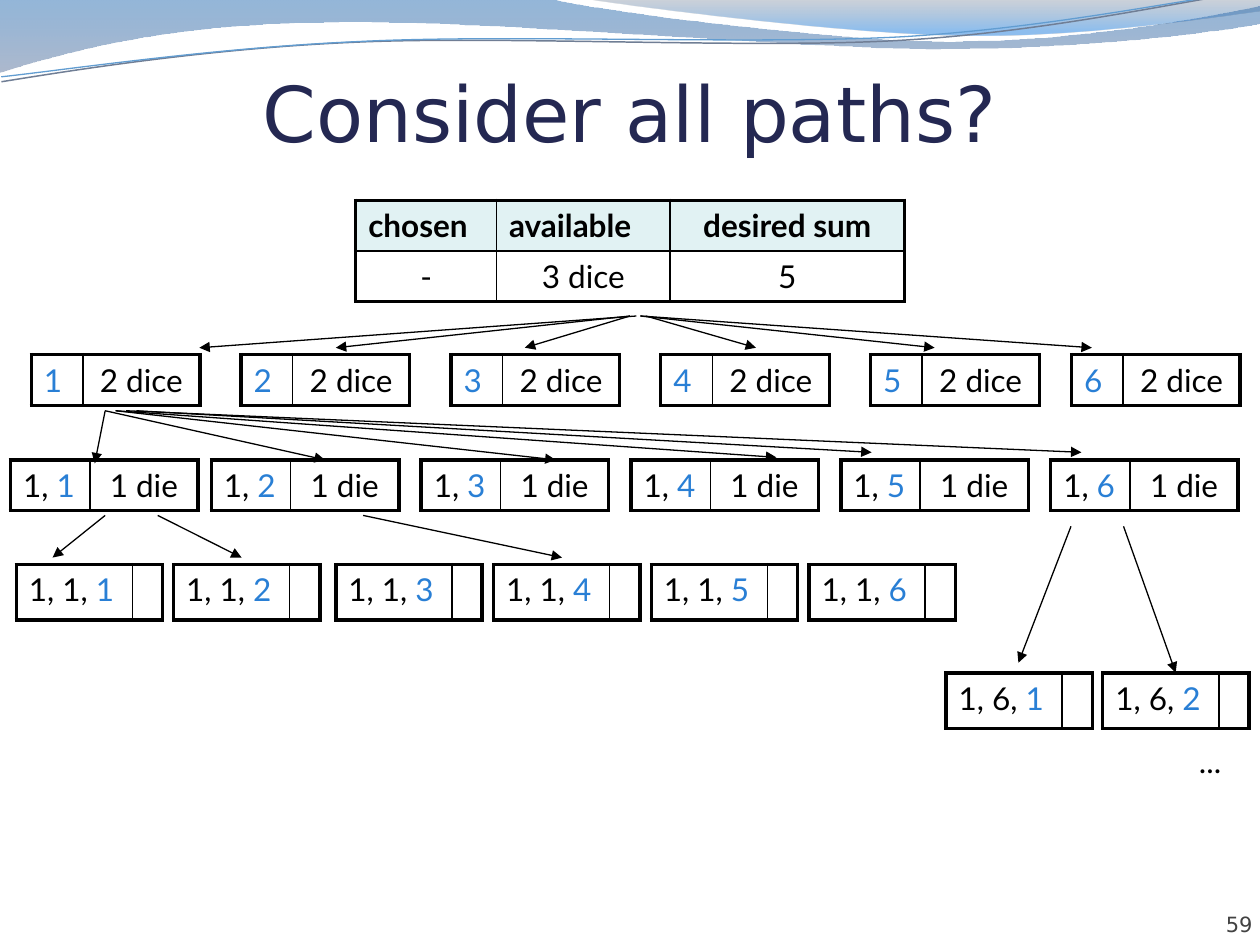
from lxml import etree
from pptx import Presentation
from pptx import util as u
from pptx.dml.color import RGBColor
from pptx.enum import shapes, text
from pptx.oxml import ns

BLACK = RGBColor(0x00, 0x00, 0x00)
WHITE = RGBColor(0xFF, 0xFF, 0xFF)
NAVY = RGBColor(0x24, 0x28, 0x52)
GRAY = RGBColor(0x42, 0x42, 0x42)
BLUE = RGBColor(0x29, 0x7F, 0xD5)
HEADER_FILL = RGBColor(0xE1, 0xF2, 0xF3)
WAVE_BLUE = RGBColor(0x12, 0x5E, 0xAA)
WAVE_GRAY = RGBColor(0x69, 0x7F, 0xA4)
CREST_GRAY = RGBColor(0x59, 0x69, 0x82)
CREST_BLUE = RGBColor(0x06, 0x70, 0xDA)
STRAND_GRAY = RGBColor(0x70, 0x7E, 0x95)
STRAND_BLUE = RGBColor(0x62, 0x9D, 0xD1)

LEFT, CENTER, RIGHT = (text.PP_ALIGN.LEFT, text.PP_ALIGN.CENTER, text.PP_ALIGN.RIGHT)


class DiceSlide:
    heading_font = "DejaVu Sans"
    body_font = "Lato"
    body_size = 18
    outer_width = 2.25
    inner_width = 1

    def __init__(self, slide):
        self.slide = slide

    def format_run(self, run, color=BLACK, size=body_size, font=body_font, bold=False):
        run.font.name = font
        run.font.size = u.Pt(size)
        run.font.bold = bold
        run.font.color.rgb = color

    def label(self, content, left, top, width, height, align=LEFT, margins=None,
              anchor=text.MSO_ANCHOR.TOP, wrap=True, **style):
        box = self.slide.shapes.add_textbox(u.Cm(left), u.Cm(top), u.Cm(width), u.Cm(height))
        frame = box.text_frame
        frame.text = content
        frame.word_wrap = wrap
        frame.vertical_anchor = anchor
        if margins:
            (frame.margin_left, frame.margin_top,
             frame.margin_right, frame.margin_bottom) = map(u.Cm, margins)
        paragraph = frame.paragraphs[0]
        paragraph.alignment = align
        self.format_run(paragraph.runs[0], **style)

    def wave(self, start, steps, closed):
        """Add an outline; a step of two numbers is a line, one of six a Bezier curve."""
        builder = self.slide.shapes.build_freeform(*map(u.Cm, start))
        for step in steps:
            points = list(zip(step[::2], step[1::2]))
            builder.add_line_segments([(u.Cm(x), u.Cm(y)) for x, y in points], close=False)
        if closed:
            builder.add_line_segments([], close=True)
        shape = builder.convert_to_shape()
        shape.shadow.inherit = False
        lines = iter(list(shape.element.iter(ns.qn("a:lnTo"))))
        for step in steps:
            segment = next(lines)
            if len(step) == 6:
                segment.tag = ns.qn("a:cubicBezTo")
                for _ in range(2):
                    extra = next(lines)
                    segment.append(extra[0])
                    extra.getparent().remove(extra)
        return shape

    def band(self, start, steps, stops):
        """Add a closed wave; each stop is (position, color, opacity in percent)."""
        shape = self.wave(start, steps, closed=True)
        shape.line.fill.background()
        shape.fill.gradient()
        shape.fill.gradient_angle = 270
        for stop, (position, color, _) in zip(shape.fill.gradient_stops, stops):
            stop.position = position
            stop.color.rgb = color
        for element, (_, _, opacity) in zip(shape.element.iter(ns.qn("a:srgbClr")), stops):
            etree.SubElement(element, ns.qn("a:alpha"), val=str(opacity * 1000))

    def strand(self, start, steps, color, width):
        shape = self.wave(start, steps, closed=False)
        shape.rotation = 357.3
        shape.fill.background()
        shape.line.color.rgb = color
        shape.line.width = u.Pt(width)

    def border(self, cell, side, width):
        line = etree.SubElement(cell._tc.get_or_add_tcPr(), ns.qn(f"a:ln{side}"),
                                w=str(u.Pt(width)))
        fill = etree.SubElement(line, ns.qn("a:solidFill"))
        etree.SubElement(fill, ns.qn("a:srgbClr"), val=str(BLACK))

    def table(self, left, top, widths, height, rows):
        """Each cell is (alignment, bold, fill, [(text, color), ...])."""
        count, last = len(widths), len(rows) - 1
        frame = self.slide.shapes.add_table(len(rows), count, u.Cm(left), u.Cm(top),
                                            u.Cm(sum(widths)), u.Cm(height * len(rows)))
        table = frame.table
        table.first_row = table.horz_banding = False
        for column, width in zip(table.columns, widths):
            column.width = u.Cm(width)
        for r, row in enumerate(rows):
            table.rows[r].height = u.Cm(height)
            for c, (align, bold, fill, parts) in enumerate(row):
                cell = table.cell(r, c)
                edges = {"L": c == 0, "R": c == count - 1, "T": r == 0, "B": r == last}
                for side, outer in edges.items():
                    self.border(cell, side, self.outer_width if outer else self.inner_width)
                if fill is None:
                    cell.fill.background()
                else:
                    cell.fill.solid()
                    cell.fill.fore_color.rgb = fill
                paragraph = cell.text_frame.paragraphs[0]
                paragraph.alignment = align
                for content, color in parts:
                    run = paragraph.add_run()
                    run.text = content
                    self.format_run(run, color, bold=bold)

    def choices(self, lefts, top, widths, height, prefix, available, filled=()):
        """Add nodes numbered from 1 after the rolls in prefix; filled ones get white rolls."""
        rest = [(available, BLACK)] if available else []
        for number, left in enumerate(lefts, 1):
            rolls = [(prefix, BLACK)] if prefix else []
            rolls.append((str(number), BLUE))
            fill = WHITE if number in filled else None
            self.table(left, top, widths, height,
                       [[(LEFT, False, fill, rolls), (CENTER, False, None, rest)]])

    def arrow(self, x1, y1, x2, y2):
        connector = self.slide.shapes.add_connector(
            shapes.MSO_CONNECTOR.STRAIGHT, u.Cm(x1), u.Cm(y1), u.Cm(x2), u.Cm(y2))
        connector.line.color.rgb = BLACK
        connector.line.width = u.Pt(0.75)
        etree.SubElement(connector.line._get_or_add_ln(), ns.qn("a:tailEnd"), type="triangle")
        etree.SubElement(connector._element.spPr, ns.qn("a:effectLst"))


def main():
    presentation = Presentation()
    presentation.slide_width, presentation.slide_height = u.Cm(25.4), u.Cm(19.05)
    dice = DiceSlide(presentation.slides.add_slide(presentation.slide_layouts[6]))

    dice.band((0, 0), [(11.18, 0), (12.09, 0.23, 16.87, 0.84, 19.25, 0.84),
                       (21.67, 0.84, 24.33, 0.36, 25.4, 0.13), (25.43, 0.48),
                       (24.97, 0.58, 22.1, 0.99, 18.95, 0.99),
                       (15.8, 0.99, 9.7, 0.38, 6.53, 0.46),
                       (3.28, 0.48, 1.17, 1.09, -0.03, 1.47)],
              [(0, WAVE_BLUE, 45), (1, WAVE_GRAY, 55)])
    dice.band((11.86, 0), [(12.65, 0.13, 17.12, 0.69, 19.38, 0.71),
                           (21.64, 0.76, 24.41, 0.36, 25.4, 0.23), (25.4, 0)],
              [(0, CREST_GRAY, 30), (0.8, CREST_BLUE, 45)])
    dice.strand((0, 1.05), [(1.25, 0.91, 4.06, 0.58, 7.09, 0.59),
                            (10.11, 0.59, 15.05, 1.1, 18.13, 1.07),
                            (21.18, 1.04, 23.92, 0.53, 25.43, 0.4)], STRAND_GRAY, 0.85)
    dice.strand((0, 0.95), [(1.22, 0.88, 4.22, 0.57, 7.24, 0.58),
                            (10.26, 0.57, 15.15, 1.02, 18.18, 1),
                            (21.23, 0.96, 23.92, 0.5, 25.43, 0.4)], STRAND_BLUE, 0.75)

    bottom = text.MSO_ANCHOR.BOTTOM
    dice.label("59", 23.14, 17.86, 2.11, 1.02, RIGHT, (0, 0, 0, 0), bottom,
               color=GRAY, size=12, font=dice.heading_font)
    dice.label("Consider all paths?", 1.27, 1.22, 22.86, 1.96, CENTER, (0, 0.13, 0, 0), bottom,
               color=NAVY, size=44, font=dice.heading_font)

    headers = zip((LEFT, LEFT, CENTER), ("chosen", "available", "desired sum"))
    dice.table(7.17, 4.04, (2.84, 3.5, 4.72), 1.02, [
        [(align, True, HEADER_FILL, [(name, BLACK)]) for align, name in headers],
        [(CENTER, False, None, [(value, BLACK)]) for value in ("-", "3 dice", "5")]])
    first_rolls = [0.63 + 4.23 * i for i in range(5)] + [21.6]
    dice.choices(first_rolls, 7.15, (1.04, 2.36), 1.02, "", "2 dice", filled=(6,))
    second_rolls = [0.21] + [4.26 + 4.23 * i for i in range(5)]
    dice.choices(second_rolls, 9.27, (1.6, 2.18), 1.02, "1, ", "1 die", filled=(5, 6))
    leaf_widths, leaf_height = (2.34, 0.59), 1.12
    third_rolls = [0.33, 3.5] + [6.77 + 3.18 * i for i in range(4)]
    dice.choices(third_rolls, 11.38, leaf_widths, leaf_height, "1, 1, ", "", filled=range(1, 7))
    dice.choices((19.07, 22.23), 13.57, leaf_widths, leaf_height, "1, 6, ", "", filled=(2,))
    dice.label("...", 23.92, 14.83, 1.09, 1.02, wrap=False)

    arrows_by_start = {
        6.37: [(12.83, 4.02, 7.01), (12.7, 6.77, 7.01), (12.7, 10.58, 7.01),
               (13.02, 15.24, 7.01), (12.91, 18.84, 7.01), (12.91, 22.01, 7.01)],
        8.28: [(2.12, 1.91, 9.34), (2.12, 6.55, 9.27), (2.33, 11.2, 9.27),
               (2.33, 15.65, 9.22), (2.75, 17.57, 9.12), (2.54, 21.8, 9.12)],
        10.39: [(2.12, 1.06, 11.24), (3.18, 4.87, 11.24), (7.32, 11.33, 11.24)],
        10.61: [(21.59, 20.53, 13.36), (22.65, 23.7, 13.56)],
    }
    for start_y, arrows in arrows_by_start.items():
        for start_x, end_x, end_y in arrows:
            dice.arrow(start_x, start_y, end_x, end_y)

    presentation.save("out.pptx")


if __name__ == "__main__":
    main()
